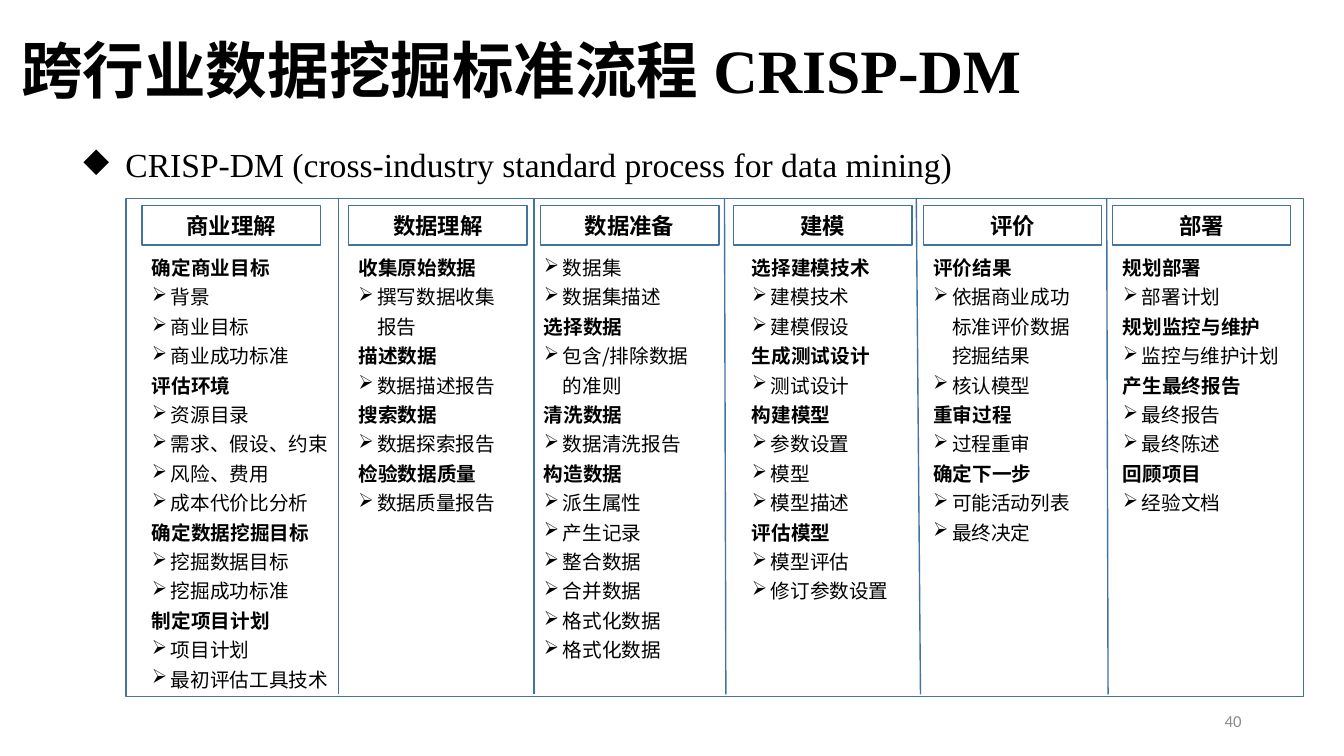
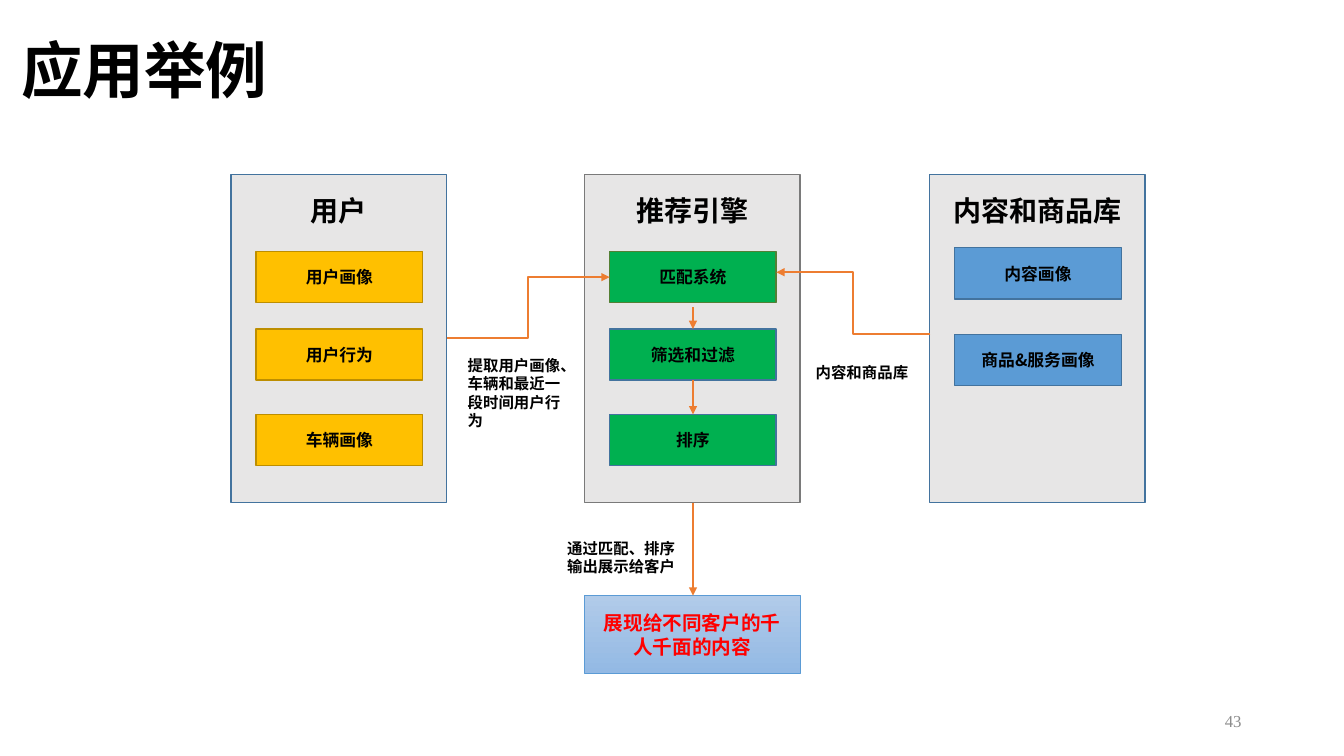
from lxml import etree
from pptx import Presentation
from pptx.dml.color import RGBColor
from pptx.enum.shapes import MSO_CONNECTOR as LINK, MSO_SHAPE as KIND
from pptx.enum.text import MSO_ANCHOR as ANCHOR, PP_ALIGN as ALIGN
from pptx.oxml.ns import qn
from pptx.util import Pt

BLACK = RGBColor(0x00, 0x00, 0x00)
GREY = RGBColor(0x8C, 0x8C, 0x8C)
BLUE = RGBColor(0x43, 0x73, 0x9E)
SLATE = RGBColor(0x7A, 0x7A, 0x7A)
PALE = RGBColor(0xE7, 0xE6, 0xE6)
GOLD = RGBColor(0xFF, 0xC0, 0x00)
BROWN = RGBColor(0xBD, 0x8E, 0x00)
GREEN = RGBColor(0x00, 0xB0, 0x50)
MOSS = RGBColor(0x53, 0x80, 0x35)
SKY = RGBColor(0x5B, 0x9B, 0xD5)
LIGHT = RGBColor(0xB1, 0xCB, 0xE9)
DEEP = RGBColor(0x93, 0xB9, 0xE4)
ORANGE = RGBColor(0xED, 0x7D, 0x31)
RED = RGBColor(0xFF, 0x00, 0x00)

SANS = "Noto Sans CJK SC"
SERIF = "Times New Roman"

# Each stage: name, heading left, text left, text width, groups of tasks
STAGES = [
    ("商业理解", 101.5, 101.5, 141, [
        ("确定商业目标", ["背景", "商业目标", "商业成功标准"]),
        ("评估环境", ["资源目录", "需求、假设、约束", "风险、费用", "成本代价比分析"]),
        ("确定数据挖掘目标", ["挖掘数据目标", "挖掘成功标准"]),
        ("制定项目计划", ["项目计划", "最初评估工具技术"])]),
    ("数据理解", 249, 249, 117, [
        ("收集原始数据", ["撰写数据收集报告"]),
        ("描述数据", ["数据描述报告"]),
        ("搜索数据", ["数据探索报告"]),
        ("检验数据质量", ["数据质量报告"])]),
    ("数据准备", 386, 381.5, 131, [
        (None, ["数据集", "数据集描述"]),
        ("选择数据", ["包含/排除数据的准则"]),
        ("清洗数据", ["数据清洗报告"]),
        ("构造数据", ["派生属性", "产生记录", "整合数据", "合并数据",
                  "格式化数据", "格式化数据"])]),
    ("建模", 524, 530, 115, [
        ("选择建模技术", ["建模技术", "建模假设"]),
        ("生成测试设计", ["测试设计"]),
        ("构建模型", ["参数设置", "模型", "模型描述"]),
        ("评估模型", ["模型评估", "修订参数设置"])]),
    ("评价", 659.5, 659.5, 121, [
        ("评价结果", ["依据商业成功标准评价数据挖掘结果", "核认模型"]),
        ("重审过程", ["过程重审"]),
        ("确定下一步", ["可能活动列表", "最终决定"])]),
    ("部署", 794.5, 795, 135, [
        ("规划部署", ["部署计划"]),
        ("规划监控与维护", ["监控与维护计划"]),
        ("产生最终报告", ["最终报告", "最终陈述"]),
        ("回顾项目", ["经验文档"])]),
]
# Top and bottom x of the rules between the stages
RULES = [(242, 242), (381.5, 381.5), (517.5, 518.5), (654.5, 657.5), (790.5, 791.5)]

# Each panel: title, left, line colour, node fill, nodes (text, top, line colour)
PANELS = [
    ("用户", 165, BLUE, GOLD, [
        ("用户画像", 179.5, BROWN), ("用户行为", 235, BROWN), ("车辆画像", 296, BROWN)]),
    ("推荐引擎", 417.5, SLATE, GREEN, [
        ("匹配系统", 179.5, MOSS), ("筛选和过滤", 235, BLUE), ("排序", 296, BLUE)]),
    ("内容和商品库", 664, BLUE, SKY, [
        ("内容画像", 177, BLUE), ("商品&服务画像", 239, BLUE)]),
]
NOTES = [
    ("提取用户画像、车辆和最近一段时间用户行为", 327, 250.5, 86.5, 60.5),
    ("内容和商品库", 575.5, 255.5, 95, 21),
    ("通过匹配、排序输出展示给客户", 398, 381.5, 96.5, 34),
]
ARROWS = [
    (LINK.ELBOW, 319, 241.5, 435.5, 198),
    (LINK.ELBOW, 664.5, 238.5, 554.5, 194.5),
    (LINK.STRAIGHT, 495, 219.5, 495, 235),
    (LINK.STRAIGHT, 495, 271.5, 495, 296),
    (LINK.STRAIGHT, 495, 359, 495, 425.5),
]


def write(para, text, size, bold=False, font=SANS, color=BLACK):
    """Add one run, with the CJK font beside the Latin one."""
    run = para.add_run()
    run.text = text
    face = run.font
    face.size, face.bold, face.name = Pt(size), bold, font
    face.color.rgb = color
    east = etree.SubElement(face._element, qn("a:ea"))
    east.set("typeface", SANS)


def bullet(para, mark, gap):
    props = para._p.get_or_add_pPr()
    props.set("marL", str(Pt(gap)))
    props.set("indent", str(-Pt(gap)))
    etree.SubElement(props, qn("a:buChar")).set("char", mark)


def label(slide, x, y, w, h, anchor=ANCHOR.TOP):
    """Add a wrapping text box and return its frame."""
    frame = slide.shapes.add_textbox(Pt(x), Pt(y), Pt(w), Pt(h)).text_frame
    frame.word_wrap = True
    frame.vertical_anchor = anchor
    return frame


def box(slide, x, y, w, h, line, fill=None, width=1):
    shape = slide.shapes.add_shape(KIND.RECTANGLE, Pt(x), Pt(y), Pt(w), Pt(h))
    shape.shadow.inherit = False
    if fill is None:
        shape.fill.background()
    else:
        shape.fill.solid()
        shape.fill.fore_color.rgb = fill
    shape.line.color.rgb = line
    shape.line.width = Pt(width)
    return shape


def caption(shape, text, size, color=BLACK, anchor=ANCHOR.MIDDLE):
    """Write bold centred text in a box."""
    frame = shape.text_frame
    frame.word_wrap = True
    frame.vertical_anchor = anchor
    para = frame.paragraphs[0]
    para.alignment = ALIGN.CENTER
    write(para, text, size, True, color=color)


def join(slide, kind, x1, y1, x2, y2, color, width):
    link = slide.shapes.add_connector(kind, Pt(x1), Pt(y1), Pt(x2), Pt(y2))
    link.line.color.rgb = color
    link.line.width = Pt(width)
    etree.SubElement(link._element.spPr, qn("a:effectLst"))
    return link


def arrow(slide, kind, *ends):
    link = join(slide, kind, *ends, ORANGE, 1.5)
    tail = etree.SubElement(link.line._get_or_add_ln(), qn("a:tailEnd"))
    tail.set("type", "triangle")


def start(deck, title, number, font):
    """Add a blank slide with its title and page number."""
    slide = deck.slides.add_slide(deck.slide_layouts[6])
    head = label(slide, 8, 0, 828, 104.5, ANCHOR.MIDDLE).paragraphs[0]
    head.line_spacing = 0.9
    write(head, title, 44, True, SERIF)
    foot = label(slide, 678, 500.5, 216, 28.5, ANCHOR.MIDDLE).paragraphs[0]
    foot.alignment = ALIGN.RIGHT
    write(foot, number, 12, font=font, color=GREY)
    return slide


def stage(slide, name, left, x, w, groups):
    caption(box(slide, left, 147, 127.5, 28, BLUE), name, 16)
    frame = label(slide, x, 175, w, 323)
    rows = []
    for head, tasks in groups:
        if head:
            rows.append((head, True))
        rows += [(task, False) for task in tasks]
    for i, (text, bold) in enumerate(rows):
        para = frame.add_paragraph() if i else frame.paragraphs[0]
        para.line_spacing = 1.25
        if not bold:
            bullet(para, "➢", 13.5)
        write(para, text, 14, bold)


def panel(slide, title, x, line, fill, nodes):
    back = box(slide, x, 124.5, 154, 234.5, line, PALE)
    back.text_frame.margin_top = Pt(13.5)
    caption(back, title, 20, anchor=ANCHOR.TOP)
    for text, y, edge in nodes:
        caption(box(slide, x + 18, y, 119, 36.5, edge, fill), text, 12)


def process(deck):
    slide = start(deck, "跨行业数据挖掘标准流程 CRISP-DM", "40", "Calibri")
    para = label(slide, 52.5, 92, 832, 40.5).paragraphs[0]
    para.line_spacing = 1.25
    bullet(para, "◆", 30)
    write(para, "CRISP-DM (cross-industry standard process for data mining)",
          24, font=SERIF)
    box(slide, 90, 142, 841, 355.5, BLUE)
    for item in STAGES:
        stage(slide, *item)
    for top, foot in RULES:
        join(slide, LINK.STRAIGHT, top, 141.5, foot, 496, BLUE, 1)


def example(deck):
    slide = start(deck, "应用举例", "43", SERIF)
    for item in PANELS:
        panel(slide, *item)
    for text, *place in NOTES:
        write(label(slide, *place).paragraphs[0], text, 11, True)
    result = box(slide, 417.5, 425.5, 154, 55.5, SKY, LIGHT, 0.5)
    result.fill.gradient()
    result.fill.gradient_angle = 270
    for stop, color in zip(result.fill.gradient_stops, (LIGHT, DEEP)):
        stop.color.rgb = color
    caption(result, "展现给不同客户的千人千面的内容", 14, RED)
    for item in ARROWS:
        arrow(slide, *item)


def main():
    deck = Presentation()
    deck.slide_width, deck.slide_height = Pt(960), Pt(540)
    process(deck)
    example(deck)
    deck.save("out.pptx")


if __name__ == "__main__":
    main()
